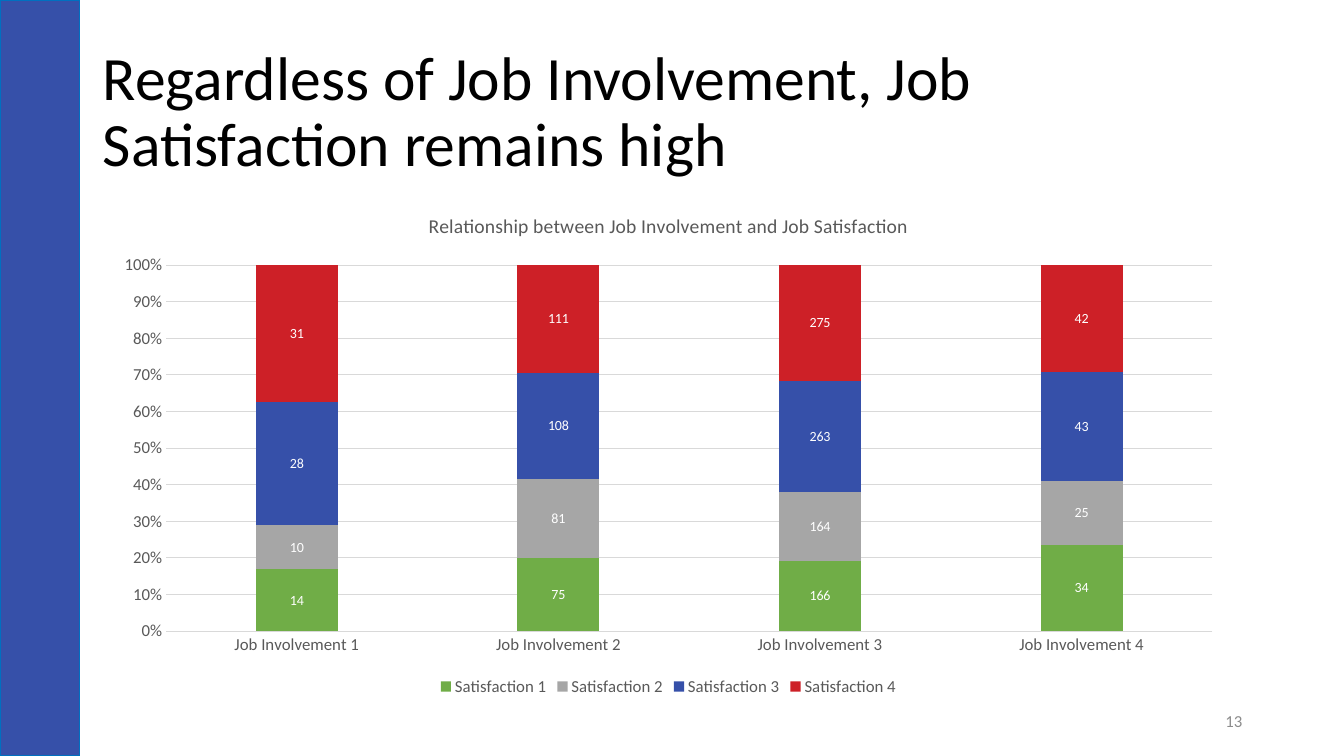
from pptx import Presentation
from pptx.chart.data import CategoryChartData
from pptx.dml.color import RGBColor
from pptx.enum.chart import XL_CHART_TYPE, XL_LABEL_POSITION, XL_LEGEND_POSITION, XL_TICK_MARK
from pptx.enum.shapes import MSO_SHAPE
from pptx.enum.text import MSO_ANCHOR, PP_ALIGN
from pptx.util import Inches, Pt

FONT = "Calibri"
BLACK = RGBColor(0x00, 0x00, 0x00)
WHITE = RGBColor(0xFF, 0xFF, 0xFF)
DARK_GRAY = RGBColor(0x59, 0x59, 0x59)
NUMBER_GRAY = RGBColor(0x8C, 0x8C, 0x8C)
GRID_GRAY = RGBColor(0xD9, 0xD9, 0xD9)
BAND_BLUE = RGBColor(0x36, 0x50, 0xA9)
BAND_EDGE = RGBColor(0x00, 0x70, 0xC0)
GREEN = RGBColor(0x70, 0xAD, 0x47)
GRAY = RGBColor(0xA6, 0xA6, 0xA6)
RED = RGBColor(0xCD, 0x20, 0x27)

HEADING = "Regardless of Job Involvement, Job Satisfaction remains high"
CHART_HEADING = "Relationship between Job Involvement and Job Satisfaction"
PAGE_NUMBER = "13"
INVOLVEMENT = [f"Job Involvement {level}" for level in range(1, 5)]
SATISFACTION = [
    ("Satisfaction 1", (14, 75, 166, 34), GREEN),
    ("Satisfaction 2", (10, 81, 164, 25), GRAY),
    ("Satisfaction 3", (28, 108, 263, 43), BAND_BLUE),
    ("Satisfaction 4", (31, 111, 275, 42), RED),
]


def set_font(font, size, color):
    font.name = FONT
    font.size = Pt(size)
    font.bold = False
    font.color.rgb = color


def set_line(line, color, width):
    line.color.rgb = color
    line.width = Pt(width)


def add_band(slide):
    band = slide.shapes.add_shape(MSO_SHAPE.RECTANGLE, 0, 0, Inches(0.79), Inches(7.5))
    band.shadow.inherit = False
    band.fill.solid()
    band.fill.fore_color.rgb = BAND_BLUE
    set_line(band.line, BAND_EDGE, 1)


def add_heading(slide):
    heading = slide.shapes.title
    heading.left, heading.top = Inches(0.92), Inches(0.4)
    heading.width, heading.height = Inches(9), Inches(1.45)
    frame = heading.text_frame
    frame.text = HEADING
    frame.word_wrap = True
    frame.vertical_anchor = MSO_ANCHOR.MIDDLE
    paragraph = frame.paragraphs[0]
    paragraph.alignment = PP_ALIGN.LEFT
    paragraph.line_spacing = 0.9
    set_font(paragraph.font, 44, BLACK)


def add_satisfaction_chart(slide):
    data = CategoryChartData()
    data.categories = INVOLVEMENT
    for name, counts, _ in SATISFACTION:
        data.add_series(name, counts)
    chart = slide.shapes.add_chart(
        XL_CHART_TYPE.COLUMN_STACKED_100,
        Inches(1.01), Inches(1.92), Inches(11.24), Inches(5.03), data,
    ).chart
    set_font(chart.font, 10, BLACK)

    chart.has_title = True
    chart_heading = chart.chart_title.text_frame
    chart_heading.text = CHART_HEADING
    set_font(chart_heading.paragraphs[0].font, 14, DARK_GRAY)

    chart.has_legend = True
    chart.legend.position = XL_LEGEND_POSITION.BOTTOM
    chart.legend.include_in_layout = False
    set_font(chart.legend.font, 12, DARK_GRAY)

    for axis in (chart.category_axis, chart.value_axis):
        axis.major_tick_mark = XL_TICK_MARK.NONE
        axis.minor_tick_mark = XL_TICK_MARK.NONE
        set_font(axis.tick_labels.font, 12, DARK_GRAY)
    set_line(chart.category_axis.format.line, GRID_GRAY, 0.75)
    shares = chart.value_axis
    shares.minimum_scale, shares.maximum_scale, shares.major_unit = 0, 1, 0.1
    shares.tick_labels.number_format = "0%"
    shares.tick_labels.number_format_is_linked = False
    shares.format.line.fill.background()
    set_line(shares.major_gridlines.format.line, GRID_GRAY, 0.75)

    plot = chart.plots[0]
    plot.gap_width = 219
    plot.overlap = 100
    plot.vary_by_categories = False
    for series, (_, _, color) in zip(plot.series, SATISFACTION):
        series.format.fill.solid()
        series.format.fill.fore_color.rgb = color
        labels = series.data_labels
        labels.show_value = True
        labels.position = XL_LABEL_POSITION.CENTER
        set_font(labels.font, 10, WHITE)


def add_page_number(slide):
    frame = slide.shapes.add_textbox(
        Inches(9.42), Inches(6.95), Inches(3), Inches(0.4)).text_frame
    frame.text = PAGE_NUMBER
    frame.word_wrap = True
    frame.vertical_anchor = MSO_ANCHOR.MIDDLE
    frame.paragraphs[0].alignment = PP_ALIGN.RIGHT
    set_font(frame.paragraphs[0].font, 12, NUMBER_GRAY)


def main():
    deck = Presentation()
    deck.slide_width, deck.slide_height = Inches(13.33), Inches(7.5)
    slide = deck.slides.add_slide(deck.slide_layouts[5])
    add_band(slide)
    add_heading(slide)
    add_satisfaction_chart(slide)
    add_page_number(slide)
    deck.save("out.pptx")


if __name__ == "__main__":
    main()
